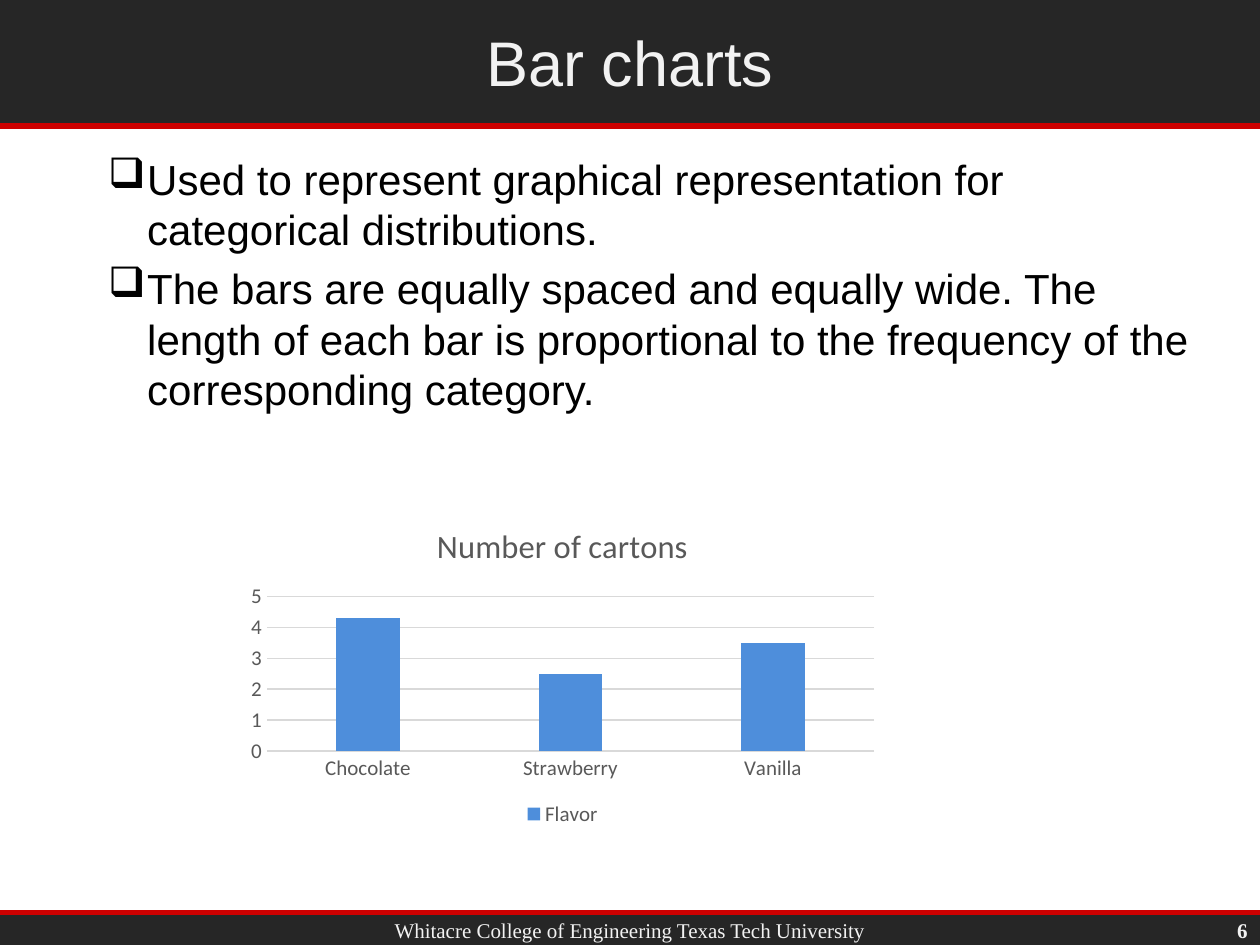
from dataclasses import dataclass
from lxml import etree
from pptx import Presentation
from pptx.chart.data import CategoryChartData
from pptx.dml.color import RGBColor
from pptx.enum.chart import XL_CHART_TYPE, XL_LEGEND_POSITION, XL_TICK_MARK
from pptx.enum.shapes import MSO_CONNECTOR, MSO_SHAPE
from pptx.enum.text import MSO_ANCHOR, PP_ALIGN
from pptx.oxml.ns import qn
from pptx.util import Inches, Pt

COLUMN = XL_CHART_TYPE.COLUMN_CLUSTERED
BOTTOM = XL_LEGEND_POSITION.BOTTOM
NO_TICK = XL_TICK_MARK.NONE
STRAIGHT = MSO_CONNECTOR.STRAIGHT
RECT = MSO_SHAPE.RECTANGLE
TOP, MIDDLE = MSO_ANCHOR.TOP, MSO_ANCHOR.MIDDLE
LEFT, CENTER, RIGHT = PP_ALIGN.LEFT, PP_ALIGN.CENTER, PP_ALIGN.RIGHT


@dataclass(frozen=True)
class Theme:
    dark: RGBColor = RGBColor.from_string("262626")
    red: RGBColor = RGBColor.from_string("CC0000")
    pale: RGBColor = RGBColor.from_string("F2F2F2")
    ink: RGBColor = RGBColor.from_string("000000")
    gray: RGBColor = RGBColor.from_string("595959")
    grid: RGBColor = RGBColor.from_string("D9D9D9")
    blue: RGBColor = RGBColor.from_string("4E8EDB")
    sans: str = "Arial"
    serif: str = "Times New Roman"
    chart: str = "Calibri"
    title: float = 36
    body: float = 24
    small: float = 12
    head: float = 18.6


theme = Theme()
deck = Presentation()
deck.slide_width, deck.slide_height = Inches(10), Inches(7.5)
slide = deck.slides.add_slide(deck.slide_layouts[6])
COL, ROW = deck.slide_width / 100, deck.slide_height / 75


def place(x, y, w, h):
    return [round(n) for n in (x * COL, y * ROW, w * COL, h * ROW)]


def write(area, lines, size, face, color, align, anchor, bold=False):
    box = slide.shapes.add_textbox(*place(*area))
    frame = box.text_frame
    frame.word_wrap = True
    frame.vertical_anchor = anchor
    frame.text = "\n".join(lines)
    for para in frame.paragraphs:
        para.alignment = align
        font = para.runs[0].font
        font.size, font.name, font.bold = Pt(size), face, bold
        font.color.rgb = color
    return frame


for top, high, edge in ((72.4, 2.6, 72.4), (0, 10, 10)):
    band = slide.shapes.add_shape(RECT, *place(0, top, 100, high))
    band.shadow.inherit = False
    band.fill.solid()
    band.fill.fore_color.rgb = theme.dark
    band.line.fill.background()
    x, y, end, _ = place(0, edge, 100, 0)
    rule = slide.shapes.add_connector(STRAIGHT, x, y, end, y)
    rule.line.color.rgb = theme.red
    rule.line.width = Pt(3)
    etree.SubElement(rule._element.spPr, qn("a:effectLst"))

write((10.1, 72.3, 79.8, 3), ["Whitacre College of Engineering Texas Tech University"],
      theme.small, theme.serif, theme.pale, CENTER, MIDDLE)
write((92.8, 72.5, 7.2, 2.6), ["6"],
      theme.small, theme.serif, theme.pale, RIGHT, MIDDLE, True)
write((10.1, 0.4, 79.8, 8.9), ["Bar charts"],
      theme.title, theme.sans, theme.pale, CENTER, MIDDLE)

points = [
    "Used to represent graphical representation for categorical distributions.",
    "The bars are equally spaced and equally wide. The length of each bar is "
    "proportional to the frequency of the corresponding category.",
]
body = write((7.6, 11.7, 87.8, 60), points,
             theme.body, theme.sans, theme.ink, LEFT, TOP)
indent = round(3.1 * COL)
for i, para in enumerate(body.paragraphs):
    props = para._p.get_or_add_pPr()
    props.set("marL", str(indent))
    props.set("indent", str(-indent))
    etree.SubElement(props, qn("a:buChar")).set("char", "❑")
    para.space_before = Pt(0.2 * theme.body * i)

data = CategoryChartData()
data.categories = ["Chocolate", "Strawberry", "Vanilla"]
data.add_series("Flavor", [4.3, 2.5, 3.5])
chart = slide.shapes.add_chart(COLUMN, *place(18.9, 40, 51.5, 26), data).chart
chart.font.name = theme.chart
chart.font.size = Pt(theme.small)
chart.font.color.rgb = theme.gray

chart.has_title = True
head = chart.chart_title.text_frame
head.text = "Number of cartons"
font = head.paragraphs[0].runs[0].font
font.size, font.name, font.bold = Pt(theme.head), theme.chart, False
font.color.rgb = theme.gray

chart.has_legend = True
chart.legend.position = BOTTOM
chart.legend.include_in_layout = False

plot = chart.plots[0]
plot.gap_width, plot.overlap = 219, -27
plot.vary_by_categories = False
bars = plot.series[0].format.fill
bars.solid()
bars.fore_color.rgb = theme.blue

cats, vals = chart.category_axis, chart.value_axis
vals.minimum_scale, vals.maximum_scale, vals.major_unit = 0, 5, 1
vals.has_major_gridlines = True
for axis in (cats, vals):
    axis.major_tick_mark = axis.minor_tick_mark = NO_TICK
    font = axis.tick_labels.font
    font.size, font.name = Pt(theme.small), theme.chart
    font.color.rgb = theme.gray
for line in (cats.format.line, vals.major_gridlines.format.line):
    line.color.rgb = theme.grid
    line.width = Pt(0.75)
vals.format.line.fill.background()

deck.save("out.pptx")
